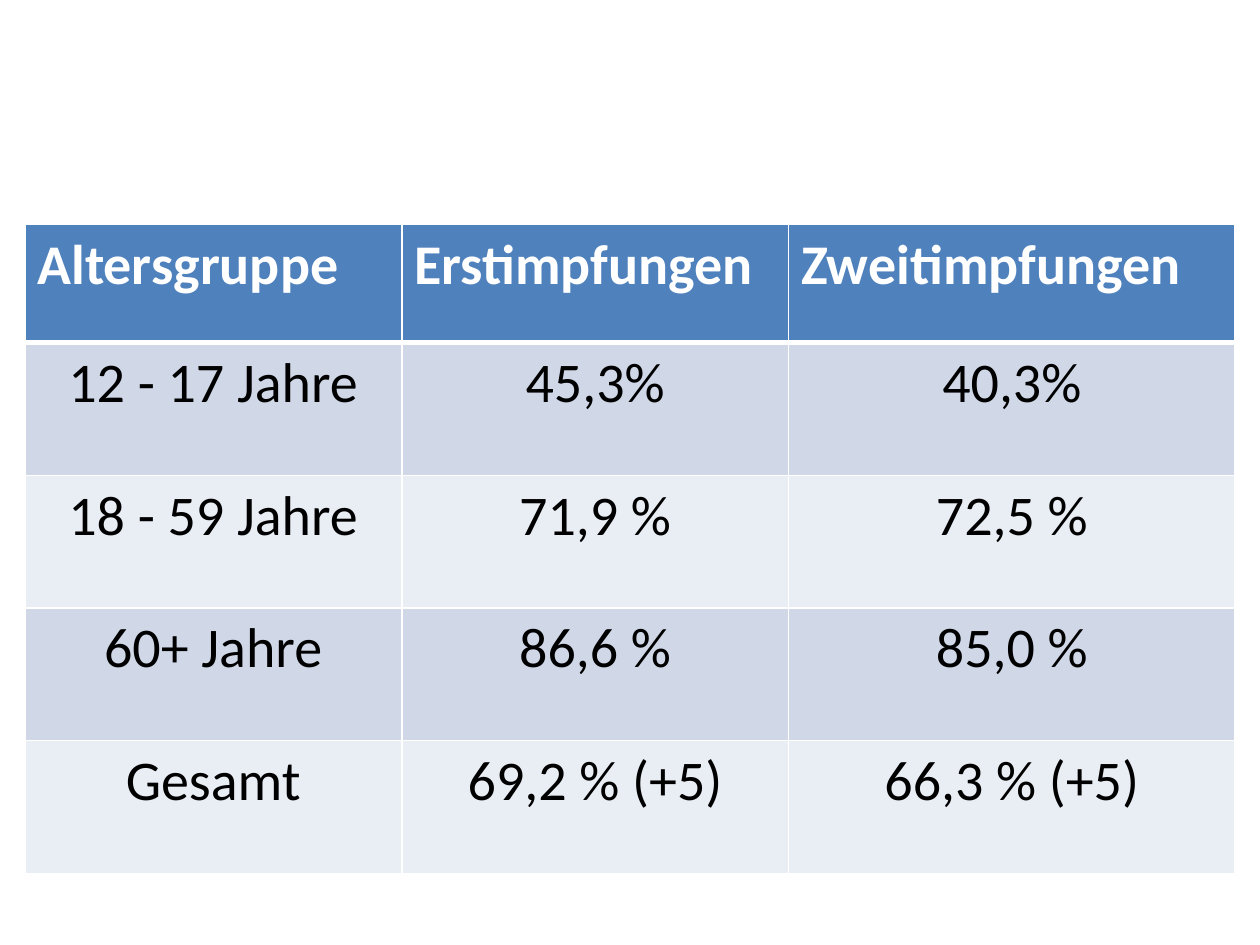
import dataclasses

import lxml.etree
import pptx
import pptx.dml.color
import pptx.enum.text
import pptx.oxml.ns
import pptx.util

Cm = pptx.util.Cm
Pt = pptx.util.Pt


@dataclasses.dataclass(frozen=True)
class Theme:
    font: str = "Calibri"
    text_size: int = 32
    header_fill: str = "4F81BD"
    header_text: str = "FFFFFF"
    body_text: str = "000000"
    band_fills: tuple = ("D0D8E8", "E9EDF4")
    border: str = "FFFFFF"
    thin_border: int = 1
    thick_border: int = 3


THEME = Theme()

VACCINATION_RATES = [
    ("Altersgruppe", "Erstimpfungen", "Zweitimpfungen"),
    ("12 - 17 Jahre", "45,3%", "40,3%"),
    ("18 - 59 Jahre", "71,9 %", "72,5 %"),
    ("60+ Jahre", "86,6 %", "85,0 %"),
    ("Gesamt", "69,2 % (+5)", "66,3 % (+5)"),
]
COLUMN_SHARES = (7.6, 7.8, 9)
HEADER_HEIGHT = 2.38


def rgb(value):
    return pptx.dml.color.RGBColor.from_string(value)


def add_borders(cell, row_index):
    qn = pptx.oxml.ns.qn
    properties = cell._tc.get_or_add_tcPr()
    thick_side = {0: "lnB", 1: "lnT"}.get(row_index)
    for side in ("lnL", "lnR", "lnT", "lnB"):
        width = THEME.thick_border if side == thick_side else THEME.thin_border
        line = lxml.etree.SubElement(properties, qn("a:" + side), w=str(Pt(width)))
        fill = lxml.etree.SubElement(line, qn("a:solidFill"))
        lxml.etree.SubElement(fill, qn("a:srgbClr"), val=THEME.border)


def format_cell(cell, text, row_index):
    is_header = row_index == 0
    add_borders(cell, row_index)
    cell.fill.solid()
    band = THEME.band_fills[(row_index - 1) % len(THEME.band_fills)]
    cell.fill.fore_color.rgb = rgb(THEME.header_fill if is_header else band)
    cell.text_frame.text = text
    paragraph = cell.text_frame.paragraphs[0]
    alignment = pptx.enum.text.PP_ALIGN
    paragraph.alignment = alignment.LEFT if is_header else alignment.CENTER
    font = paragraph.runs[0].font
    font.name = THEME.font
    font.size = Pt(THEME.text_size)
    font.bold = is_header
    font.color.rgb = rgb(THEME.header_text if is_header else THEME.body_text)


def add_rates_table(slide, left, top, width, height):
    row_count = len(VACCINATION_RATES)
    table = slide.shapes.add_table(
        row_count, len(COLUMN_SHARES), Cm(left), Cm(top), Cm(width), Cm(height)
    ).table
    for column, share in zip(table.columns, COLUMN_SHARES):
        column.width = Cm(width * share / sum(COLUMN_SHARES))
    body_height = (height - HEADER_HEIGHT) / (row_count - 1)
    for row_index, texts in enumerate(VACCINATION_RATES):
        row = table.rows[row_index]
        row.height = Cm(body_height if row_index else HEADER_HEIGHT)
        for cell, text in zip(row.cells, texts):
            format_cell(cell, text, row_index)


presentation = pptx.Presentation()
presentation.slide_width = Cm(25.4)
presentation.slide_height = Cm(19.05)
slide = presentation.slides.add_slide(presentation.slide_layouts[6])
add_rates_table(slide, left=0.5, top=4.53, width=24.4, height=13.08)
presentation.save("out.pptx")
